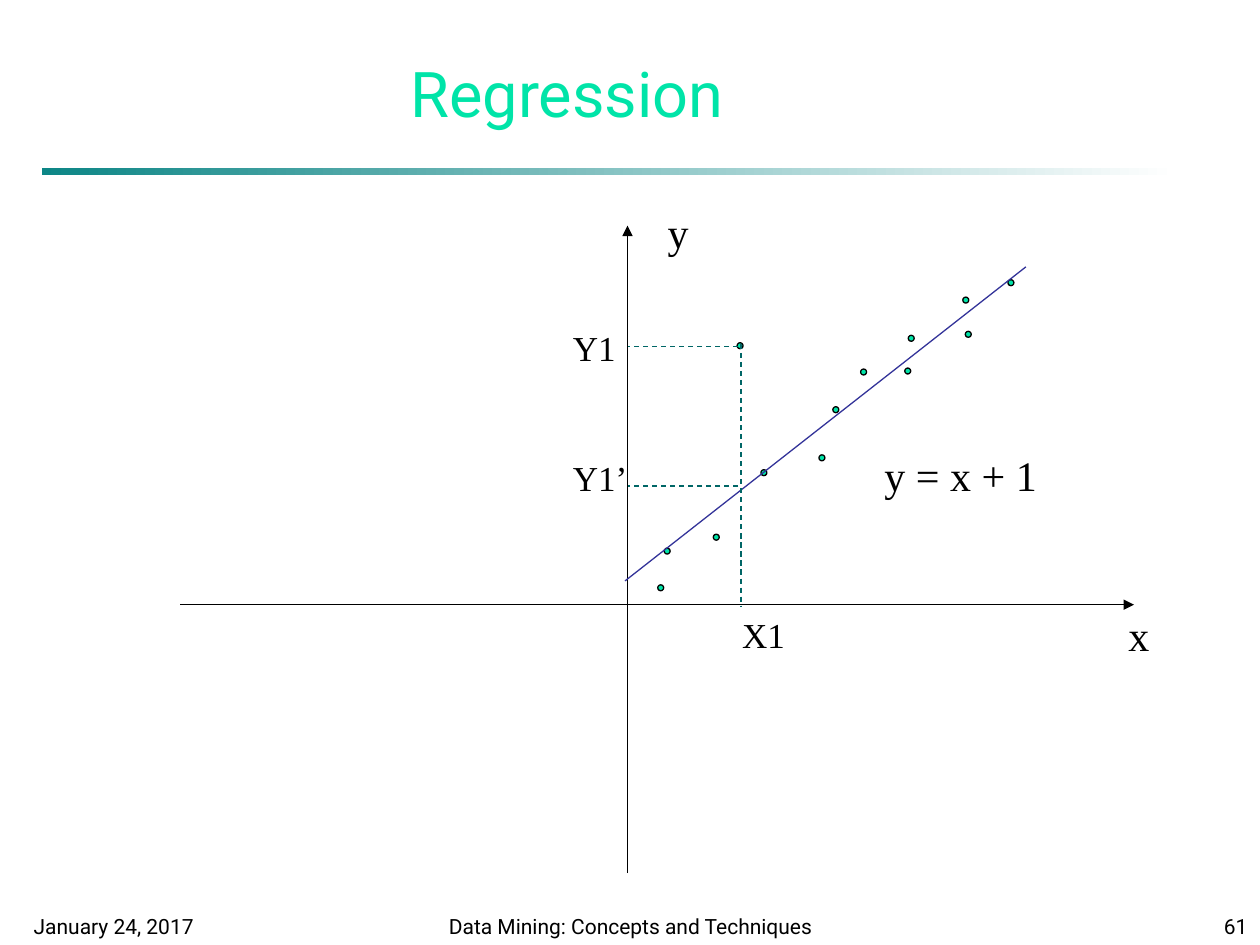
from lxml.etree import SubElement
from pptx import Presentation
from pptx.dml.color import RGBColor
from pptx.enum.dml import MSO_LINE
from pptx.enum.shapes import MSO_CONNECTOR, MSO_SHAPE
from pptx.enum.text import MSO_ANCHOR, PP_ALIGN
from pptx.oxml.ns import qn
from pptx.util import Cm, Pt

BLACK, GREEN, TEAL, BLUE = "000000", "00E4A8", "006666", "333399"
SANS, SERIF = "Roboto", "Times New Roman"
DOT = 0.12
AXIS_X, AXIS_Y = 12.65, 12.19
X1, Y1, Y1_FIT = 14.94, 6.99, 9.8

# Left and top of each data point, in cm
POINTS = [
    (16.51, 9.17), (15.34, 9.47), (14.86, 6.91), (14.38, 10.77), (16.79, 8.2),
    (17.35, 7.44), (13.39, 11.05), (18.24, 7.42), (18.31, 6.76), (19.46, 6.68),
    (13.26, 11.79), (19.41, 5.99), (20.32, 5.64),
]


def color(value):
    return RGBColor.from_string(value)


def write(sp, text, size=12, font=SANS, fill=BLACK, align=PP_ALIGN.LEFT,
          anchor=MSO_ANCHOR.TOP, wrap=True):
    tf = sp.text_frame
    tf.word_wrap = wrap
    tf.vertical_anchor = anchor
    p = tf.paragraphs[0]
    p.alignment = align
    r = p.add_run()
    r.text = text
    r.font.size = Pt(size)
    r.font.name = font
    r.font.color.rgb = color(fill)


def add_text(s, x, y, w, h, text, **style):
    write(s.shapes.add_textbox(Cm(x), Cm(y), Cm(w), Cm(h)), text, **style)


def add_title(s, text):
    sp = s.shapes.title
    sp.left, sp.top, sp.width, sp.height = Cm(2.54), Cm(1.06), Cm(17.78), Cm(1.7)
    write(sp, text, size=36, fill=GREEN, align=PP_ALIGN.CENTER,
          anchor=MSO_ANCHOR.BOTTOM)


def add_rule(s):
    sp = s.shapes.add_shape(MSO_SHAPE.RECTANGLE, Cm(0.85), Cm(3.39), Cm(22.86), Cm(0.14))
    sp.shadow.inherit = False
    sp.line.fill.background()
    sp.fill.gradient()
    sp.fill.gradient_angle = 0
    for stop, value in zip(sp.fill.gradient_stops, ("0D8686", "FFFFFF")):
        stop.color.rgb = color(value)
        stop.position = 0 if value != "FFFFFF" else 1


def add_line(s, x1, y1, x2, y2, stroke=BLACK, dashed=False, arrow=False):
    c = s.shapes.add_connector(MSO_CONNECTOR.STRAIGHT, Cm(x1), Cm(y1), Cm(x2), Cm(y2))
    c.line.color.rgb = color(stroke)
    c.line.width = Pt(0.75)
    if dashed:
        c.line.dash_style = MSO_LINE.DASH
    if arrow:
        SubElement(c.line._get_or_add_ln(), qn("a:tailEnd"), type="triangle")
    SubElement(c._element.spPr, qn("a:effectLst"))


def add_point(s, x, y):
    sp = s.shapes.add_shape(MSO_SHAPE.OVAL, Cm(x), Cm(y), Cm(DOT), Cm(DOT))
    sp.shadow.inherit = False
    sp.fill.solid()
    sp.fill.fore_color.rgb = color(GREEN)
    sp.line.color.rgb = color(BLACK)
    sp.line.width = Pt(0.75)


def add_footer(s):
    for x, w, text, align in [
        (0.43, 5.28, "January 24, 2017", PP_ALIGN.LEFT),
        (8.69, 8.05, "Data Mining: Concepts and Techniques", PP_ALIGN.CENTER),
        (20.12, 5.28, "61", PP_ALIGN.RIGHT),
    ]:
        add_text(s, x, 17.98, w, 1.07, text, align=align, anchor=MSO_ANCHOR.BOTTOM)


def add_plot(s):
    add_line(s, 3.63, AXIS_Y, 22.86, AXIS_Y, arrow=True)
    add_line(s, AXIS_X, 17.6, AXIS_X, 4.55, arrow=True)
    for x, y in POINTS:
        add_point(s, x, y)
    add_line(s, 12.6, 11.71, 20.68, 5.38, stroke=BLUE)
    add_line(s, X1, 6.93, X1, 12.24, stroke=TEAL, dashed=True)
    for y in (Y1, Y1_FIT):
        add_line(s, X1 - 0.06, y, AXIS_X, y, stroke=TEAL, dashed=True)


def add_labels(s):
    for x, y, w, text, size in [
        (22.5, 12.17, 0.94, "x", 24),
        (13.21, 4.04, 0.94, "y", 24),
        (17.58, 8.94, 3.58, "y = x + 1", 24),
        (14.71, 12.24, 1.37, "X1", 20),
        (11.3, 6.45, 1.37, "Y1", 20),
        (11.3, 9.07, 1.6, "Y1’", 20),
    ]:
        h = 1.27 if size == 24 else 1.09
        add_text(s, x, y, w, h, text, size=size, font=SERIF, wrap=False)


def main():
    prs = Presentation()
    prs.slide_width, prs.slide_height = Cm(25.4), Cm(19.05)
    s = prs.slides.add_slide(prs.slide_layouts[5])
    add_rule(s)
    add_footer(s)
    add_title(s, "Regression")
    add_plot(s)
    add_labels(s)
    prs.save("out.pptx")


if __name__ == "__main__":
    main()
